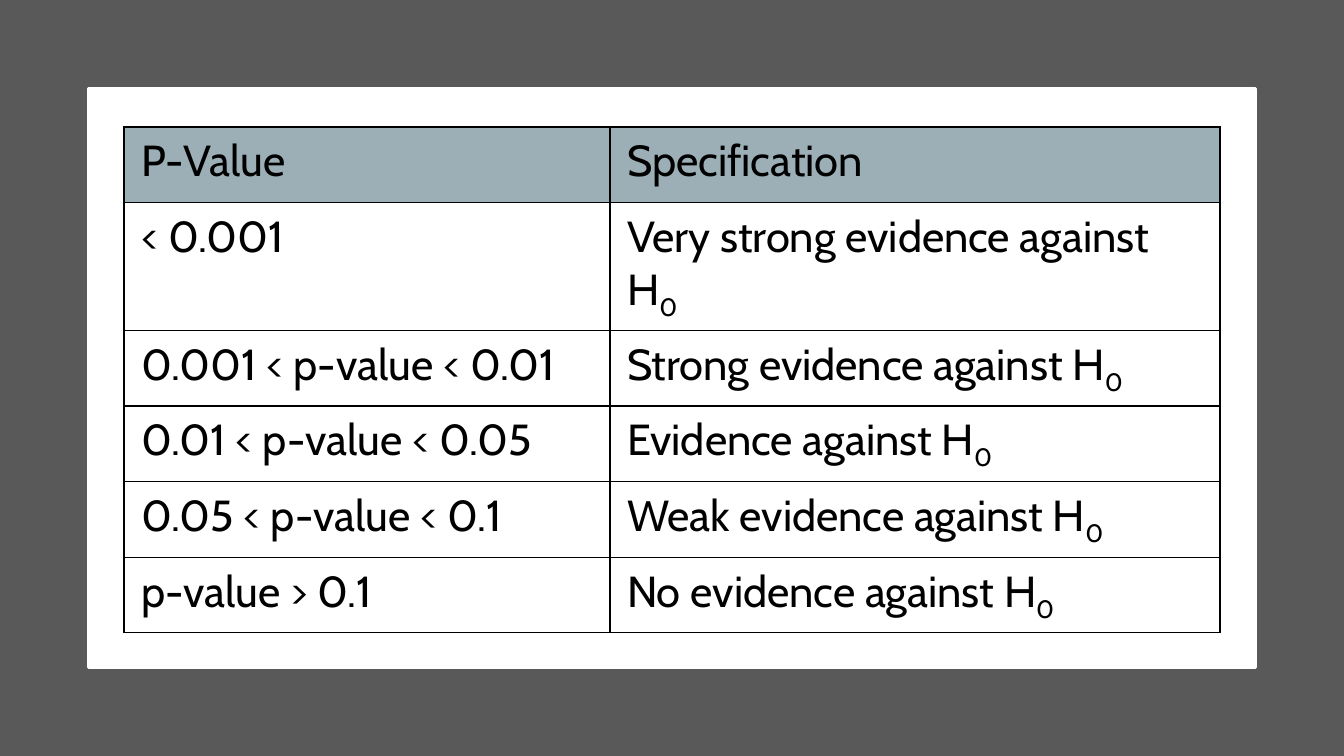
from dataclasses import dataclass

from lxml.etree import SubElement
from pptx import Presentation
from pptx.dml.color import RGBColor
from pptx.enum.shapes import MSO_SHAPE
from pptx.oxml.ns import qn
from pptx.util import Inches, Pt


@dataclass(frozen=True)
class Theme:
    background: str = "F2F2F2"
    backdrop: str = "595959"
    panel: str = "FFFFFF"
    header: str = "9CAFB6"
    ink: str = "000000"
    font: str = "Cabin"
    text_size: int = 31
    border_width: int = 1


theme = Theme()
ROWS = [
    ("P-Value", "Specification"),
    ("< 0.001", "Very strong evidence against H"),
    ("0.001 < p-value < 0.01", "Strong evidence against H"),
    ("0.01 < p-value < 0.05", "Evidence against H"),
    ("0.05 < p-value < 0.1", "Weak evidence against H"),
    ("p-value > 0.1", "No evidence against H"),
]
COLUMN_WIDTHS = [4.82, 6.05]
ROW_HEIGHTS = [0.75, 1.25, 0.75, 0.75, 0.75, 0.75]
CELL_MARGINS = {
    "margin_left": Inches(0.17),
    "margin_right": Inches(0.17),
    "margin_top": Inches(0.08),
    "margin_bottom": Inches(0.08),
}


def add_run(paragraph, text, baseline=0):
    """Add a run in the theme's type, lowered if baseline is negative."""
    run = paragraph.add_run()
    run.text = text
    run.font.name = theme.font
    run.font.size = Pt(theme.text_size)
    run.font.color.rgb = RGBColor.from_string(theme.ink)
    if baseline:
        run.font._element.set("baseline", str(baseline))


def add_borders(cell):
    """Draw a thin solid line on all four sides of a cell."""
    properties = cell._tc.get_or_add_tcPr()
    for position, side in enumerate(("lnL", "lnR", "lnT", "lnB")):
        line = SubElement(properties, qn(f"a:{side}"), w=str(Pt(theme.border_width)))
        fill = SubElement(line, qn("a:solidFill"))
        SubElement(fill, qn("a:srgbClr"), val=theme.ink)
        properties.insert(position, line)


prs = Presentation()
prs.slide_width, prs.slide_height = Inches(13.33), Inches(7.5)
slide = prs.slides.add_slide(prs.slide_layouts[6])
slide.background.fill.solid()
slide.background.fill.fore_color.rgb = RGBColor.from_string(theme.background)

# Dark backdrop with the white panel on it
for bounds, color in [
    ((0, 0, 13.33, 7.5), theme.backdrop),
    ((0.88, 0.88, 11.57, 5.74), theme.panel),
]:
    area = slide.shapes.add_shape(MSO_SHAPE.RECTANGLE, *map(Inches, bounds))
    area.shadow.inherit = False
    area.fill.solid()
    area.fill.fore_color.rgb = RGBColor.from_string(color)
    if color == theme.panel:
        area.line.color.rgb = RGBColor.from_string(color)
        area.line.width = Pt(2)
    else:
        area.line.fill.background()

# Evidence table
evidence = slide.shapes.add_table(
    len(ROWS), len(COLUMN_WIDTHS), Inches(1.23), Inches(1.26),
    Inches(sum(COLUMN_WIDTHS)), Inches(sum(ROW_HEIGHTS)),
).table
evidence.first_row = False
evidence.horz_banding = False
for column, width in zip(evidence.columns, COLUMN_WIDTHS):
    column.width = Inches(width)
for row, height in zip(evidence.rows, ROW_HEIGHTS):
    row.height = Inches(height)

for row_index, texts in enumerate(ROWS):
    for column_index, text in enumerate(texts):
        cell = evidence.cell(row_index, column_index)
        for name, value in CELL_MARGINS.items():
            setattr(cell, name, value)
        if row_index == 0:
            cell.fill.solid()
            cell.fill.fore_color.rgb = RGBColor.from_string(theme.header)
        else:
            cell.fill.background()
        add_borders(cell)
        paragraph = cell.text_frame.paragraphs[0]
        add_run(paragraph, text)
        if row_index > 0 and column_index == 1:
            add_run(paragraph, "0", baseline=-25000)

prs.save("out.pptx")
